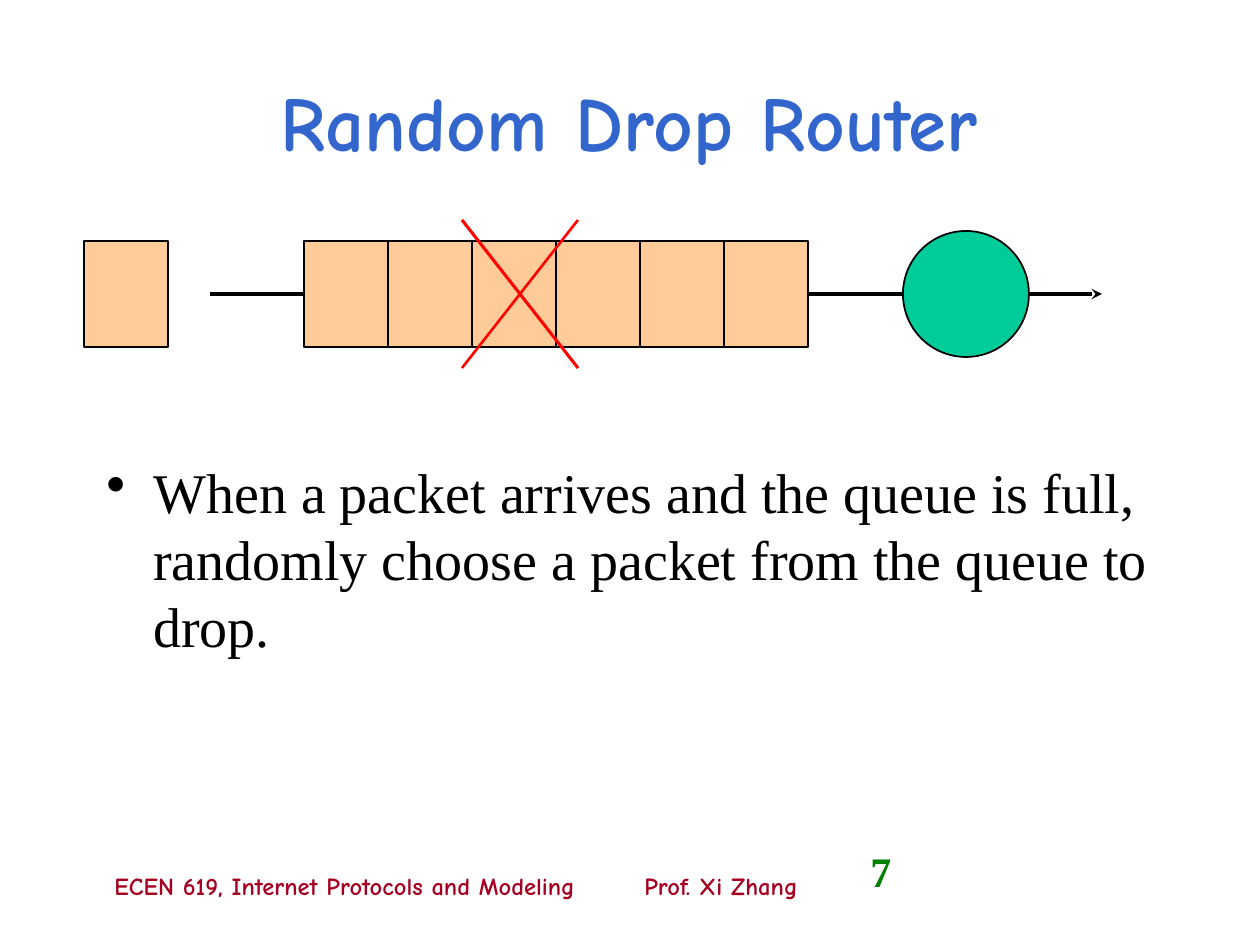
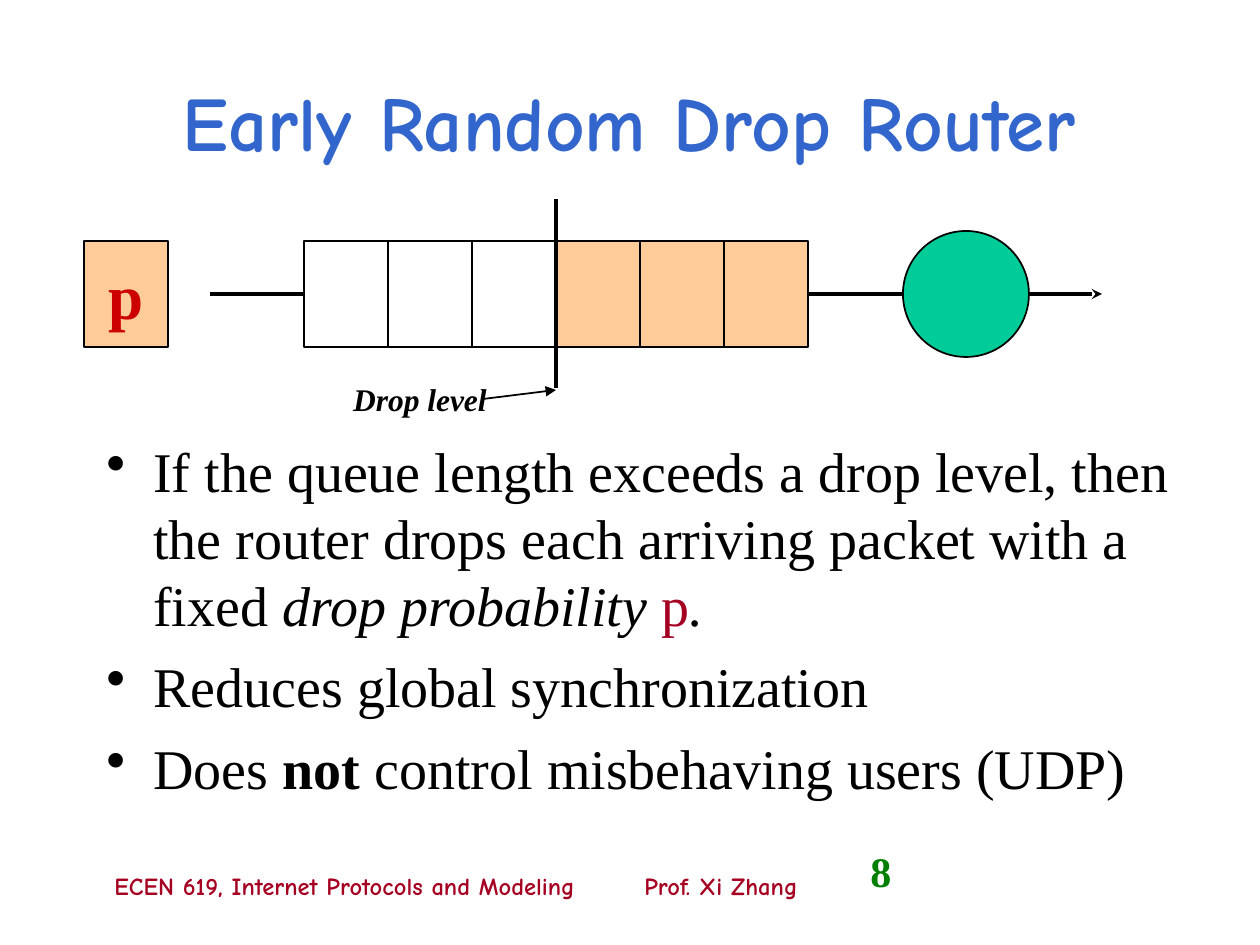
from lxml import etree
from pptx import Presentation
from pptx.dml.color import RGBColor
from pptx.enum.shapes import MSO_CONNECTOR, MSO_SHAPE
from pptx.enum.text import MSO_ANCHOR, PP_ALIGN
from pptx.oxml.ns import qn
from pptx.util import Pt

STRAIGHT = MSO_CONNECTOR.STRAIGHT
RECTANGLE, OVAL = MSO_SHAPE.RECTANGLE, MSO_SHAPE.OVAL
TOP, MIDDLE = MSO_ANCHOR.TOP, MSO_ANCHOR.MIDDLE
LEFT, CENTER = PP_ALIGN.LEFT, PP_ALIGN.CENTER
LEFT_SIDE, RIGHT_SIDE = 1, 3

BLACK = RGBColor(0x00, 0x00, 0x00)
WHITE = RGBColor(0xFF, 0xFF, 0xFF)
PEACH = RGBColor(0xFF, 0xCC, 0x99)
TEAL = RGBColor(0x00, 0xCC, 0x99)
BLUE = RGBColor(0x33, 0x66, 0xCC)
CRIMSON = RGBColor(0xA5, 0x00, 0x21)
DARK_RED = RGBColor(0xCC, 0x00, 0x00)
RED = RGBColor(0xFF, 0x00, 0x00)
GREEN = RGBColor(0x00, 0x80, 0x00)

SERIF, COMIC = "Times New Roman", "Comic Neue"

# Content: each bullet is a list of runs (text, style changes)
FOOTER = "ECEN 619, Internet Protocols and Modeling\tProf. Xi Zhang"
RANDOM_DROP = {
    "number": "7",
    "title": "Random Drop Router",
    "cells": [PEACH] * 6,
    "packet": "",
    "body_box": (94, 451, 1124, 325),
    "bullets": [
        [("When a packet arrives and the queue is full, randomly choose a "
          "packet from the queue to drop.", {})],
    ],
}
EARLY_RANDOM_DROP = {
    "number": "8",
    "title": "Early Random Drop Router",
    "cells": [WHITE] * 3 + [PEACH] * 3,
    "packet": "p",
    "body_box": (94, 430, 1124, 410),
    "bullets": [
        [("If the queue length exceeds a drop level, then the router drops "
          "each arriving packet with a fixed ", {}),
         ("drop probability ", {"italic": True}),
         ("p", {"color": CRIMSON}),
         (".", {"italic": True})],
        [("Reduces global synchronization", {})],
        [("Does ", {}), ("not ", {"bold": True}),
         ("control misbehaving users (UDP)", {})],
    ],
}

# Geometry in px, 126 to the inch
SLIDE_SIZE = (1260, 945)
TITLE_BOX = (94, 52, 1071, 137)
FOOTER_BOX = (102, 859, 720, 53)
FOOTER_TAB = 530
NUMBER_BOX = (858, 839, 262, 63)
BULLET_INDENT = 47
CELL_WIDTH, CELL_HEIGHT = 84, 106
QUEUE_LEFT, QUEUE_TOP = 304, 241
AXIS = QUEUE_TOP + CELL_HEIGHT // 2
PACKET_LEFT = 84
SERVER_LEFT, SERVER_SIZE = 903, 126
ARRIVAL_START, DEPARTURE_END = 210, 1102
CROSS = (462, 220, 578, 368)
DROP_LINE = (199, 388)
DROP_LABEL = (357, 378, 126, 42)


def emu(px):
    return round(px * 914400 / 126)


def emus(lengths):
    return [emu(px) for px in lengths]


def add_run(paragraph, text, size, font=SERIF, color=BLACK, bold=False, italic=False):
    run = paragraph.add_run()
    run.text = text
    run.font.size = Pt(size)
    run.font.name = font
    run.font.color.rgb = color
    run.font.bold = bold
    run.font.italic = italic


def add_text(slide, box, text, size, align=LEFT, anchor=TOP, **style):
    frame = slide.shapes.add_textbox(*emus(box)).text_frame
    frame.word_wrap = True
    frame.vertical_anchor = anchor
    paragraph = frame.paragraphs[0]
    paragraph.alignment = align
    add_run(paragraph, text, size, **style)
    return paragraph


def add_block(slide, kind, box, fill, outlined=True):
    shape = slide.shapes.add_shape(kind, *emus(box))
    shape.shadow.inherit = False
    shape.fill.solid()
    shape.fill.fore_color.rgb = fill
    if outlined:
        shape.line.color.rgb = BLACK
        shape.line.width = Pt(1)
    else:
        shape.line.fill.background()
    return shape


def label_block(shape, text, size, **style):
    frame = shape.text_frame
    frame.word_wrap = False
    frame.vertical_anchor = MIDDLE
    paragraph = frame.paragraphs[0]
    paragraph.alignment = CENTER
    add_run(paragraph, text, size, bold=True, **style)


def add_line(slide, ends, width=1.75, color=BLACK, arrow=None):
    connector = slide.shapes.add_connector(STRAIGHT, *emus(ends))
    connector.line.color.rgb = color
    connector.line.width = Pt(width)
    if arrow:
        line = connector.line._get_or_add_ln()
        etree.SubElement(line, qn("a:tailEnd"), type=arrow)
    etree.SubElement(connector._element.spPr, qn("a:effectLst"))
    return connector


def add_frame(slide, content):
    """Title, footer and slide number."""
    add_text(slide, TITLE_BOX, content["title"], 44, CENTER, MIDDLE,
             font=COMIC, color=BLUE, bold=True)
    footer = add_text(slide, FOOTER_BOX, FOOTER, 14, anchor=MIDDLE,
                      font=COMIC, color=CRIMSON, bold=True)
    tabs = etree.SubElement(footer._p.get_or_add_pPr(), qn("a:tabLst"))
    etree.SubElement(tabs, qn("a:tab"), pos=str(emu(FOOTER_TAB)), algn="l")
    add_text(slide, NUMBER_BOX, content["number"], 24, color=GREEN, bold=True)


def add_router(slide, content):
    """Arriving packet, queue, server and the lines between them."""
    cells = [
        add_block(slide, RECTANGLE,
                  (QUEUE_LEFT + i * CELL_WIDTH, QUEUE_TOP, CELL_WIDTH, CELL_HEIGHT), fill)
        for i, fill in enumerate(content["cells"])
    ]
    add_block(slide, OVAL,
              (SERVER_LEFT, AXIS - SERVER_SIZE // 2, SERVER_SIZE, SERVER_SIZE), TEAL)
    queue_right = QUEUE_LEFT + len(cells) * CELL_WIDTH
    arrival = add_line(slide, (ARRIVAL_START, AXIS, QUEUE_LEFT, AXIS))
    arrival.end_connect(cells[0], LEFT_SIDE)
    service = add_line(slide, (queue_right, AXIS, SERVER_LEFT, AXIS))
    service.begin_connect(cells[-1], RIGHT_SIDE)
    add_line(slide, (SERVER_LEFT + SERVER_SIZE, AXIS, DEPARTURE_END, AXIS), 2, arrow="stealth")

    packet = add_block(slide, RECTANGLE,
                       (PACKET_LEFT, QUEUE_TOP, CELL_WIDTH, CELL_HEIGHT), PEACH)
    if content["packet"]:
        label_block(packet, content["packet"], 36, color=DARK_RED)


def add_bullets(slide, content):
    frame = slide.shapes.add_textbox(*emus(content["body_box"])).text_frame
    frame.word_wrap = True
    for i, runs in enumerate(content["bullets"]):
        paragraph = frame.add_paragraph() if i else frame.paragraphs[0]
        if i:
            paragraph.space_before = Pt(8)
        properties = paragraph._p.get_or_add_pPr()
        properties.set("marL", str(emu(BULLET_INDENT)))
        properties.set("indent", str(-emu(BULLET_INDENT)))
        etree.SubElement(properties, qn("a:buChar"), char="•")
        for text, style in runs:
            add_run(paragraph, text, 32, **style)


def add_cross(slide):
    """Mark the packet that is dropped."""
    left, top, right, bottom = CROSS
    add_line(slide, (right, top, left, bottom), 1.5, RED)
    add_line(slide, (left, top, right, bottom), color=RED)


def add_drop_level(slide, content):
    """Line in front of the filled cells, with its label."""
    level = QUEUE_LEFT + content["cells"].index(PEACH) * CELL_WIDTH
    top, bottom = DROP_LINE
    add_line(slide, (level, top, level, bottom))
    label = add_block(slide, RECTANGLE, DROP_LABEL, WHITE, outlined=False)
    label_block(label, "Drop level", 18, italic=True)
    left, label_top, width, height = DROP_LABEL
    pointer = add_line(slide, (left + width, label_top + height // 2, level, bottom + 2),
                       1, arrow="triangle")
    pointer.begin_connect(label, RIGHT_SIDE)


def add_slide(presentation, content):
    slide = presentation.slides.add_slide(presentation.slide_layouts[6])
    add_frame(slide, content)
    add_router(slide, content)
    add_bullets(slide, content)
    return slide


def main():
    presentation = Presentation()
    presentation.slide_width, presentation.slide_height = emus(SLIDE_SIZE)
    add_cross(add_slide(presentation, RANDOM_DROP))
    add_drop_level(add_slide(presentation, EARLY_RANDOM_DROP), EARLY_RANDOM_DROP)
    presentation.save("out.pptx")


if __name__ == "__main__":
    main()
